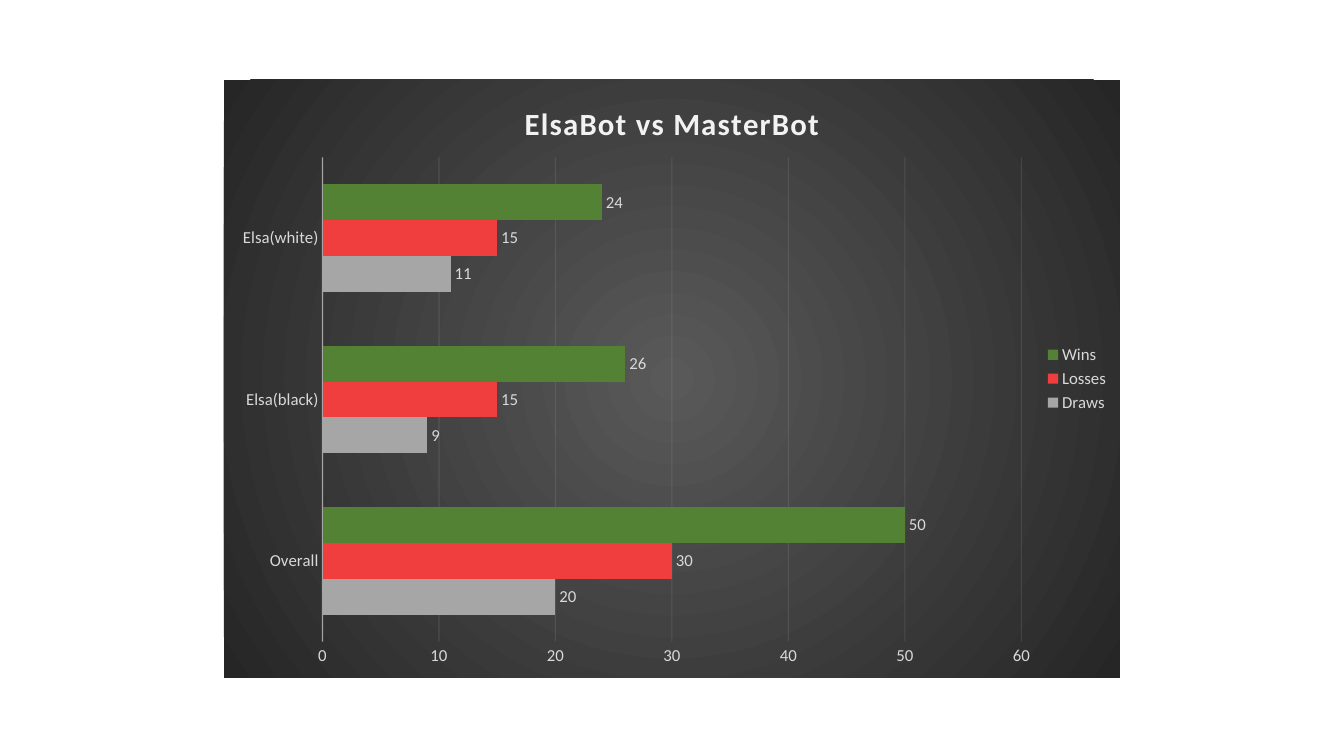
from dataclasses import dataclass

from lxml import etree
from pptx import Presentation
from pptx.chart.data import CategoryChartData
from pptx.dml.color import RGBColor
from pptx.enum.chart import XL_CHART_TYPE, XL_LABEL_POSITION, XL_LEGEND_POSITION, XL_TICK_MARK
from pptx.oxml import parse_xml
from pptx.oxml.ns import nsdecls, qn
from pptx.util import Pt

BAR_CLUSTERED = XL_CHART_TYPE.BAR_CLUSTERED
OUTSIDE_END = XL_LABEL_POSITION.OUTSIDE_END
LEGEND_RIGHT = XL_LEGEND_POSITION.RIGHT
NO_TICK = XL_TICK_MARK.NONE


@dataclass(frozen=True)
class Theme:
    font: str = "Calibri"
    title_size: float = 22
    label_size: float = 12
    light: str = "F2F2F2"
    label: str = "D9D9D9"
    center: str = "595959"
    edge: str = "262626"
    draws: str = "A6A6A6"
    losses: str = "F03E3E"
    wins: str = "548235"


theme = Theme()


def write_text(para, text, *, size, color, bold=False, spacing=0):
    span = para.add_run()
    span.text = text
    span.font.name = theme.font
    span.font.size = Pt(size)
    span.font.bold = bold
    span.font.color.rgb = RGBColor.from_string(color)
    span.font._element.set("spc", str(int(spacing * 100)))


def set_line(line, color, width, opacity):
    line.width = Pt(width)
    line.color.rgb = RGBColor.from_string(color)
    fill_color = line._ln.find(".//" + qn("a:srgbClr"))
    etree.SubElement(fill_color, qn("a:alpha"), val=str(opacity * 1000))


# Page
deck = Presentation()
deck.slide_width, deck.slide_height = Pt(960), Pt(540)
page = deck.slides.add_slide(deck.slide_layouts[6])

# Results of the matches
results = CategoryChartData()
results.categories = ["Overall", "Elsa(black)", "Elsa(white)"]
results.add_series("Draws", (20, 9, 11))
results.add_series("Losses", (30, 15, 15))
results.add_series("Wins", (50, 26, 24))
chart = page.shapes.add_chart(BAR_CLUSTERED, Pt(160), Pt(57), Pt(640), Pt(427), results).chart

# Title
chart.has_title = True
write_text(chart.chart_title.text_frame.paragraphs[0], "ElsaBot vs MasterBot",
           size=theme.title_size, color=theme.light, bold=True, spacing=1)
chart.chart_title.include_in_layout = False

# Bars and their values
plot = chart.plots[0]
plot.gap_width = 150
plot.overlap = 0
plot.vary_by_categories = False
label_fonts = []
for series, color in zip(plot.series, (theme.draws, theme.losses, theme.wins)):
    series.format.fill.solid()
    series.format.fill.fore_color.rgb = RGBColor.from_string(color)
    series.invert_if_negative = False
    series.data_labels.show_value = True
    series.data_labels.position = OUTSIDE_END
    label_fonts.append(series.data_labels.font)

# Axes
for axis in (chart.category_axis, chart.value_axis):
    axis.major_tick_mark = axis.minor_tick_mark = NO_TICK
    label_fonts.append(axis.tick_labels.font)
set_line(chart.category_axis.format.line, theme.light, 1, 54)
chart.value_axis.minimum_scale = 0
chart.value_axis.maximum_scale = 60
chart.value_axis.major_unit = 10
chart.value_axis.format.line.fill.background()
set_line(chart.value_axis.major_gridlines.format.line, theme.light, 0.75, 10)

# Legend
chart.has_legend = True
chart.legend.position = LEGEND_RIGHT
chart.legend.include_in_layout = False
label_fonts.append(chart.legend.font)

# Labels share one format
for font in label_fonts:
    font.name = theme.font
    font.size = Pt(theme.label_size)
    font.color.rgb = RGBColor.from_string(theme.label)

# Plot area position, as shares of the chart
plot_area = chart._chartSpace.chart.plotArea
for layout in plot_area.findall(qn("c:layout")):
    plot_area.remove(layout)
layout = parse_xml(f'<c:layout {nsdecls("c")}><c:manualLayout/></c:layout>')
for tag, value in (("layoutTarget", "inner"), ("xMode", "edge"), ("yMode", "edge"),
                   ("x", "0.11"), ("y", "0.13"), ("w", "0.78"), ("h", "0.81")):
    etree.SubElement(layout[0], qn("c:" + tag), val=value)
plot_area.insert(0, layout)

# Radial background
chart._chartSpace.chart.addnext(parse_xml(
    f'<c:spPr {nsdecls("c", "a")}><a:gradFill><a:gsLst>'
    f'<a:gs pos="0"><a:srgbClr val="{theme.center}"/></a:gs>'
    f'<a:gs pos="100000"><a:srgbClr val="{theme.edge}"/></a:gs></a:gsLst>'
    '<a:path path="circle"><a:fillToRect l="50000" t="50000" r="50000" b="50000"/></a:path>'
    '</a:gradFill><a:ln><a:noFill/></a:ln></c:spPr>'))

deck.save("out.pptx")
